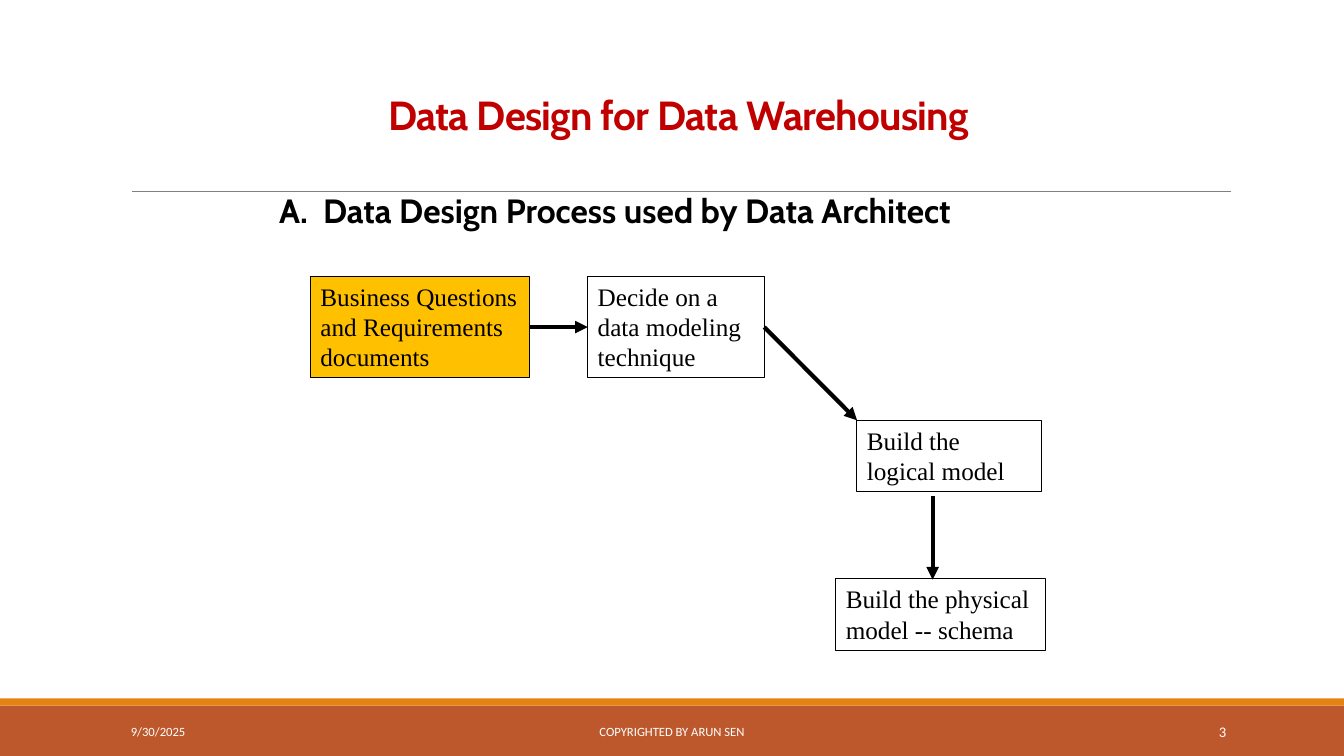
from dataclasses import dataclass
from typing import Optional

from lxml import etree
from pptx import Presentation
from pptx import util as u
from pptx.dml.color import RGBColor
from pptx.enum import shapes, text
from pptx.oxml.ns import qn

PX = 9144  # EMU per px, 100 px to the inch
WIDTH, HEIGHT = 1333, 750
RIGHT_SIDE, LEFT_SIDE = 3, 1


@dataclass(frozen=True)
class Theme:
    ink: str = "000000"
    white: str = "FFFFFF"
    title: str = "C00000"
    rule: str = "808080"
    source: str = "FFC000"
    band: str = "BD582C"
    stripe: str = "E48312"
    heading_font: str = "Cabin"
    box_font: str = "Times New Roman"
    footer_font: str = "Calibri"
    title_size: float = 29
    heading_size: float = 24
    box_size: float = 18
    footer_size: float = 9
    number_size: float = 10.5


THEME = Theme()
ALIGN = text.PP_ALIGN
ANCHOR = text.MSO_ANCHOR


@dataclass(frozen=True)
class Area:
    left: int
    top: int
    width: int
    height: int

    def emu(self) -> list[int]:
        return [n * PX for n in (self.left, self.top, self.width, self.height)]


@dataclass(frozen=True)
class Label:
    words: str
    area: Area
    font: str
    size: float
    color: str
    bold: bool = False
    align: ALIGN = ALIGN.LEFT
    anchor: ANCHOR = ANCHOR.TOP


@dataclass(frozen=True)
class Step:
    name: str
    words: str
    area: Area
    fill: Optional[str] = None


@dataclass(frozen=True)
class Arrow:
    start: tuple[int, int]
    end: tuple[int, int]
    source: Optional[str] = None
    target: Optional[str] = None


def write(box, label: Label):
    frame = box.text_frame
    frame.word_wrap = True
    frame.vertical_anchor = label.anchor
    para = frame.paragraphs[0]
    para.text = label.words
    para.alignment = label.align
    font = para.font
    font.name, font.size, font.bold = label.font, u.Pt(label.size), label.bold
    font.color.rgb = RGBColor.from_string(label.color)
    return para


def add_label(page, label: Label):
    return write(page.shapes.add_textbox(*label.area.emu()), label)


def add_rect(page, area: Area, fill: Optional[str], outline: Optional[str] = None):
    rect = page.shapes.add_shape(shapes.MSO_SHAPE.RECTANGLE, *area.emu())
    rect.shadow.inherit = False
    if fill:
        rect.fill.solid()
        rect.fill.fore_color.rgb = RGBColor.from_string(fill)
    else:
        rect.fill.background()
    if outline:
        rect.line.color.rgb = RGBColor.from_string(outline)
        rect.line.width = u.Pt(0.75)
    else:
        rect.line.fill.background()
    return rect


def add_step(page, step: Step):
    rect = add_rect(page, step.area, step.fill, THEME.ink)
    write(rect, Label(step.words, step.area, THEME.box_font, THEME.box_size, THEME.ink))
    return rect


def add_line(page, start: tuple[int, int], end: tuple[int, int], color: str, width: float):
    line = page.shapes.add_connector(
        shapes.MSO_CONNECTOR.STRAIGHT, *[n * PX for n in start + end])
    line.line.color.rgb = RGBColor.from_string(color)
    line.line.width = u.Pt(width)
    etree.SubElement(line._element.spPr, qn("a:effectLst"))
    return line


def add_arrow(page, arrow: Arrow, boxes: dict) -> None:
    line = add_line(page, arrow.start, arrow.end, THEME.ink, 3)
    etree.SubElement(line.line._get_or_add_ln(), qn("a:tailEnd"), type="triangle")
    if arrow.source:
        line.begin_connect(boxes[arrow.source], RIGHT_SIDE)
    if arrow.target:
        line.end_connect(boxes[arrow.target], LEFT_SIDE)


TITLE = Label("Data Design for Data Warehousing", Area(279, 75, 788, 68), THEME.heading_font,
              THEME.title_size, THEME.title, True, ALIGN.CENTER, ANCHOR.BOTTOM)
HEADING = Label("A.  Data Design Process used by Data Architect", Area(267, 183, 858, 51),
                THEME.heading_font, THEME.heading_size, THEME.ink, True)
STEPS = [
    Step("technique", "Decide on a data modeling technique", Area(583, 274, 175, 101)),
    Step("logical", "Build the logical model", Area(850, 417, 183, 71)),
    Step("questions", "Business Questions and Requirements documents",
         Area(308, 274, 217, 101), THEME.source),
    Step("physical", "Build the physical model -- schema", Area(829, 574, 208, 71)),
]
ARROWS = [
    Arrow((525, 325), (583, 325), "questions", "technique"),
    Arrow((758, 325), (850, 417), "technique"),
    Arrow((925, 492), (925, 575)),
]
FOOTER = [
    ("9/30/2025", 120, 270, THEME.footer_size, ALIGN.LEFT),
    ("COPYRIGHTED BY ARUN SEN", 403, 527, THEME.footer_size, ALIGN.CENTER),
    ("3", 1083, 143, THEME.number_size, ALIGN.RIGHT),
]


def main() -> None:
    deck = Presentation()
    deck.slide_width, deck.slide_height = WIDTH * PX, HEIGHT * PX
    page = deck.slides.add_slide(deck.slide_layouts[6])

    # Footer bands and rule under the title
    add_rect(page, Area(0, 700, WIDTH, 50), THEME.band)
    add_rect(page, Area(0, 693, WIDTH, 7), THEME.stripe)
    add_line(page, (131, 190), (1221, 190), THEME.rule, 0.5)

    # Title and heading
    title = add_label(page, TITLE)
    title.line_spacing = 0.85
    title._p.get_or_add_pPr().get_or_add_defRPr().set("spc", "-50")
    add_label(page, HEADING)

    # Process flow
    boxes = {step.name: add_step(page, step) for step in STEPS}
    for arrow in ARROWS:
        add_arrow(page, arrow, boxes)

    # Footer text
    for words, left, width, size, align in FOOTER:
        add_label(page, Label(words, Area(left, 706, width, 40), THEME.footer_font, size,
                              THEME.white, align=align, anchor=ANCHOR.MIDDLE))

    deck.save("out.pptx")


if __name__ == "__main__":
    main()
